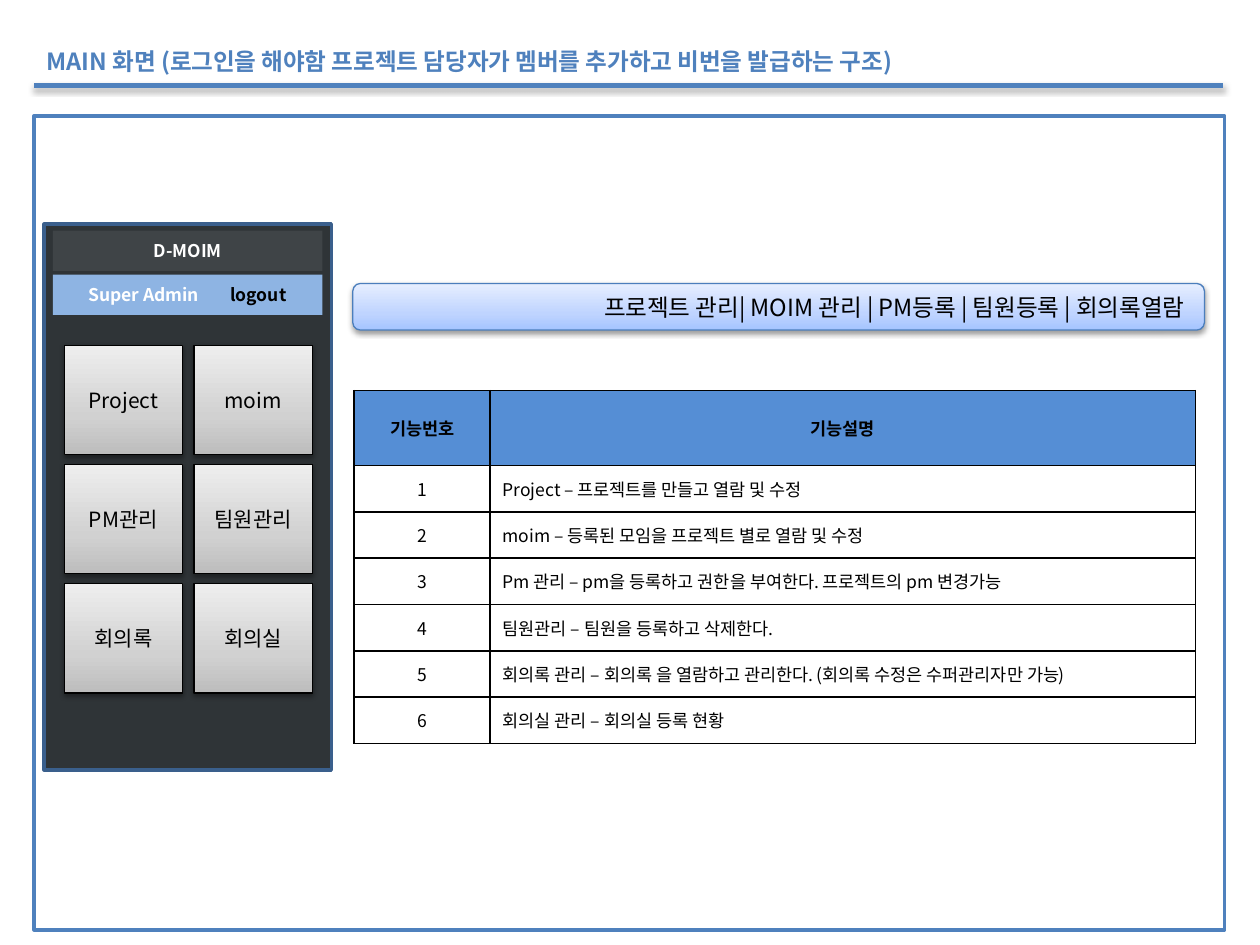
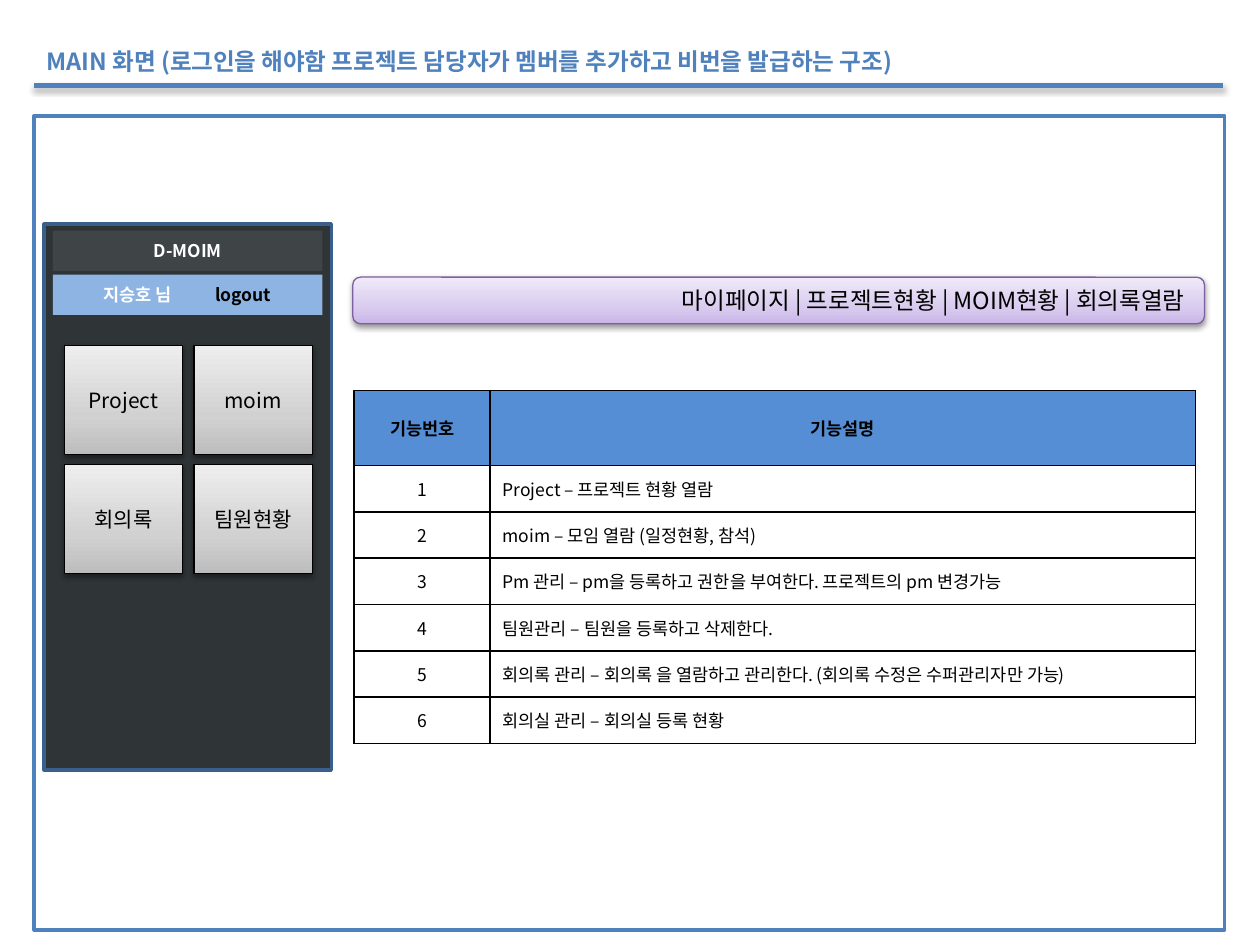
from lxml.etree import SubElement
from pptx import Presentation
from pptx.dml.color import RGBColor
from pptx.enum.shapes import MSO_CONNECTOR, MSO_SHAPE
from pptx.enum.text import MSO_ANCHOR as Anchor
from pptx.enum.text import MSO_AUTO_SIZE as AutoSize
from pptx.enum.text import PP_ALIGN as Align
from pptx.oxml.ns import qn
from pptx.util import Inches, Pt

FONT = "Noto Sans CJK KR"
BLUE = RGBColor(0x4F, 0x81, 0xBD)
BLACK = RGBColor(0, 0, 0)
WHITE = RGBColor(0xFF, 0xFF, 0xFF)
PHONE_FILL = RGBColor(0x2F, 0x34, 0x37)
PHONE_EDGE = RGBColor(0x3A, 0x5F, 0x8C)
APP_BAR = RGBColor(0x3F, 0x44, 0x47)
ACCOUNT_BAR = RGBColor(0x8E, 0xB4, 0xE3)
HEADER_FILL = RGBColor(0x55, 0x8E, 0xD5)
ADMIN_EDGE = RGBColor(0x4B, 0x7E, 0xBC)
MEMBER_EDGE = RGBColor(0x7D, 0x60, 0xA0)
# Gradients run from the bottom edge to the top edge.
GREY_SHADES = [RGBColor.from_string(c) for c in ("BDBDBD", "D1D1D1", "EEEEEE")]
ADMIN_SHADES = [RGBColor.from_string(c) for c in ("A4C4FF", "BFD4FF", "E6EEFF")]
MEMBER_SHADES = [RGBColor.from_string(c) for c in ("C9B5E8", "D8CBEE", "F0EAF9")]
SHADE_STOPS = (0, 35, 100)

# The slide is a grid of 100 columns and 75 rows of square units.
SLIDE_WIDTH, SLIDE_HEIGHT = Inches(10), Inches(7.5)
UNIT = SLIDE_WIDTH // 100

TITLE = "MAIN 화면 (로그인을 해야함 프로젝트 담당자가 멤버를 추가하고 비번을 발급하는 구조)"
TABLE_HEAD = ("기능번호", "기능설명")
SHARED_FEATURES = [
    "Pm 관리 – pm을 등록하고 권한을 부여한다. 프로젝트의 pm 변경가능",
    "팀원관리 – 팀원을 등록하고 삭제한다.",
    "회의록 관리 – 회의록 을 열람하고 관리한다. (회의록 수정은 수퍼관리자만 가능)",
    "회의실 관리 – 회의실 등록 현황",
]
SCREENS = [
    {
        "user": "Super Admin", "user_inset": 2.8, "logout_tab": 11.3,
        "menu": "프로젝트 관리| MOIM 관리 | PM등록 | 팀원등록 | 회의록열람 ",
        "menu_top": 22.5, "shades": ADMIN_SHADES, "edge": ADMIN_EDGE,
        "buttons": ["Project", "moim", "PM관리", "팀원관리", "회의록", "회의실"],
        "features": ["Project – 프로젝트를 만들고 열람 및 수정",
                     "moim – 등록된 모임을 프로젝트 별로 열람 및 수정"],
    },
    {
        "user": "지승호 님", "user_inset": 4, "logout_tab": 8.9,
        "menu": "마이페이지 | 프로젝트현황 | MOIM현황 | 회의록열람 ",
        "menu_top": 22, "shades": MEMBER_SHADES, "edge": MEMBER_EDGE,
        "buttons": ["Project", "moim", "회의록", "팀원현황"],
        "features": ["Project – 프로젝트 현황 열람",
                     "moim – 모임 열람 (일정현황, 참석)"],
    },
]


def format_text(paragraph, size, color, bold=False, align=Align.LEFT):
    """Align a paragraph and give all its runs one font."""
    paragraph.alignment = align
    for run in paragraph.runs:
        run.font.size, run.font.bold, run.font.name = Pt(size), bold, FONT
        run.font.color.rgb = color
        SubElement(run.font._element, qn("a:ea"), typeface=FONT)


def add_box(slide, grid_box, fill, edge=None, edge_width=0.75, preset=MSO_SHAPE.RECTANGLE):
    """Add a box on the grid; a list of shades makes it a raised gradient."""
    box = slide.shapes.add_shape(preset, *(int(n * UNIT) for n in grid_box))
    box.shadow.inherit = False
    box.text_frame.vertical_anchor = Anchor.MIDDLE
    if edge is None:
        box.line.fill.background()
    else:
        box.line.color.rgb, box.line.width = edge, Pt(edge_width)
    if not isinstance(fill, list):
        box.fill.solid()
        box.fill.fore_color.rgb = fill
        return box
    box.fill.gradient()
    box.fill.gradient_angle = 90
    properties = box._element.spPr
    stops = properties.find(".//" + qn("a:gsLst"))
    stops.clear()
    for percent, shade in zip(SHADE_STOPS, fill):
        stop = SubElement(stops, qn("a:gs"), pos=str(percent * 1000))
        SubElement(stop, qn("a:srgbClr"), val=str(shade))
    effects = properties.find(qn("a:effectLst"))
    shadow = SubElement(effects, qn("a:outerShdw"), blurRad=str(Pt(3.1)),
                        dist=str(Pt(1.6)), dir="5400000", rotWithShape="0")
    tint = SubElement(shadow, qn("a:srgbClr"), val="000000")
    SubElement(tint, qn("a:alpha"), val="38000")
    return box


deck = Presentation()
deck.slide_width, deck.slide_height = SLIDE_WIDTH, SLIDE_HEIGHT

for screen in SCREENS:
    slide = deck.slides.add_slide(deck.slide_layouts[5])

    # Title, rule and page frame
    heading = slide.shapes.title
    heading.left, heading.top, heading.width, heading.height = (
        int(n * UNIT) for n in (2.7, 3.2, 78.4, 3.3))
    heading.text_frame.text = TITLE
    heading.text_frame.word_wrap = False
    heading.text_frame.auto_size = AutoSize.SHAPE_TO_FIT_TEXT
    heading.text_frame.vertical_anchor = Anchor.TOP
    format_text(heading.text_frame.paragraphs[0], 13.5, BLUE, bold=True)

    add_box(slide, (2.7, 9.2, 94.5, 64.6), WHITE, BLUE, 2)
    rule = slide.shapes.add_connector(
        MSO_CONNECTOR.STRAIGHT, *(int(n * UNIT) for n in (2.7, 6.8, 97.1, 6.8)))
    rule.line.color.rgb, rule.line.width = BLUE, Pt(3)
    rule_effects = SubElement(rule._element.spPr, qn("a:effectLst"))
    rule_shadow = SubElement(rule_effects, qn("a:outerShdw"), blurRad=str(Pt(3.1)),
                             dist=str(Pt(1.8)), dir="5400000", rotWithShape="0")
    rule_tint = SubElement(rule_shadow, qn("a:srgbClr"), val="000000")
    SubElement(rule_tint, qn("a:alpha"), val="35000")

    # Menu strip
    menu = add_box(slide, (28, screen["menu_top"], 67.6, 3.7), screen["shades"],
                   screen["edge"], preset=MSO_SHAPE.ROUNDED_RECTANGLE)
    menu.text_frame.text = screen["menu"]
    format_text(menu.text_frame.paragraphs[0], 13.5, BLACK, align=Align.RIGHT)

    # Phone screen with its two bars and a two-column grid of buttons
    add_box(slide, (3.5, 17.8, 22.8, 43.3), PHONE_FILL, PHONE_EDGE, 2)
    app_name = add_box(slide, (4.2, 18.3, 21.4, 3.2), APP_BAR)
    app_name.text_frame.text = "D-MOIM"
    format_text(app_name.text_frame.paragraphs[0], 10, WHITE, True, Align.CENTER)

    for index, label in enumerate(screen["buttons"]):
        row, column = divmod(index, 2)
        button = add_box(slide, (5.1 + 10.3 * column, 27.4 + 9.45 * row, 9.4, 8.7),
                         GREY_SHADES, BLACK)
        button.text_frame.text = label
        format_text(button.text_frame.paragraphs[0], 12, BLACK, align=Align.CENTER)

    account = add_box(slide, (4.2, 21.8, 21.4, 3.2), ACCOUNT_BAR)
    account.text_frame.margin_left = int(screen["user_inset"] * UNIT)
    account_line = account.text_frame.paragraphs[0]
    for part in (screen["user"] + "\t", "logout"):
        account_line.add_run().text = part
    format_text(account_line, 10, WHITE, bold=True)
    account_line.runs[1].font.color.rgb = BLACK
    tabs = SubElement(account_line._p.get_or_add_pPr(), qn("a:tabLst"))
    SubElement(tabs, qn("a:tab"), pos=str(int(screen["logout_tab"] * UNIT)), algn="l")

    # Feature table
    features = screen["features"] + SHARED_FEATURES
    table_rows = [TABLE_HEAD] + [(str(n), text) for n, text in enumerate(features, 1)]
    table = slide.shapes.add_table(
        len(table_rows), 2, *(int(n * UNIT) for n in (28.1, 31, 66.8, 28.1))).table
    table.horz_banding = False
    for column, width in zip(table.columns, (10.8, 56)):
        column.width = int(width * UNIT)
    for r, row_texts in enumerate(table_rows):
        table.rows[r].height = int((5.95 if r == 0 else 3.68) * UNIT)
        for c, text in enumerate(row_texts):
            cell = table.cell(r, c)
            cell.text_frame.text = text
            cell.vertical_anchor = Anchor.MIDDLE
            centred = r == 0 or c == 0
            format_text(cell.text_frame.paragraphs[0], 10, BLACK, r == 0,
                        Align.CENTER if centred else Align.LEFT)
            for side in ("a:lnL", "a:lnR", "a:lnT", "a:lnB"):
                border = SubElement(cell._tc.get_or_add_tcPr(), qn(side), w=str(Pt(1)))
                ink = SubElement(border, qn("a:solidFill"))
                SubElement(ink, qn("a:srgbClr"), val=str(BLACK))
            cell.fill.solid()
            cell.fill.fore_color.rgb = HEADER_FILL if r == 0 else WHITE

deck.save("out.pptx")
